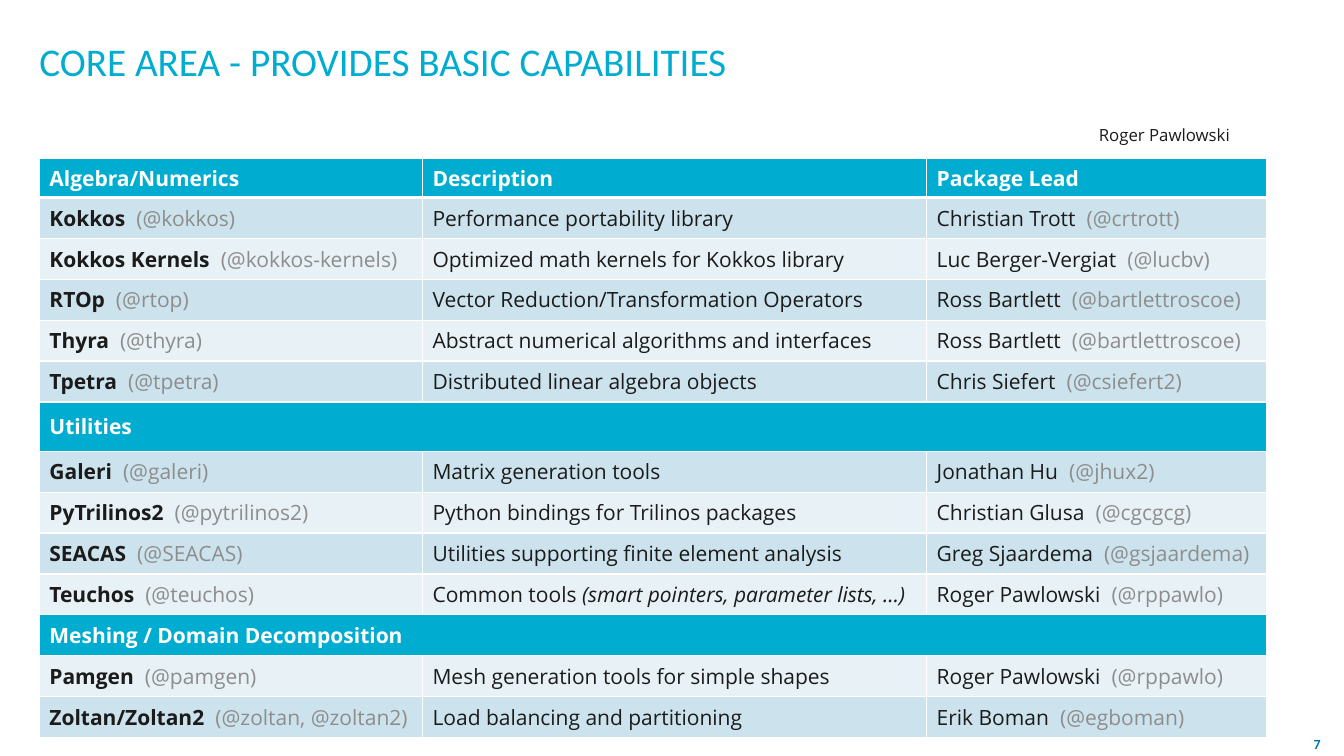
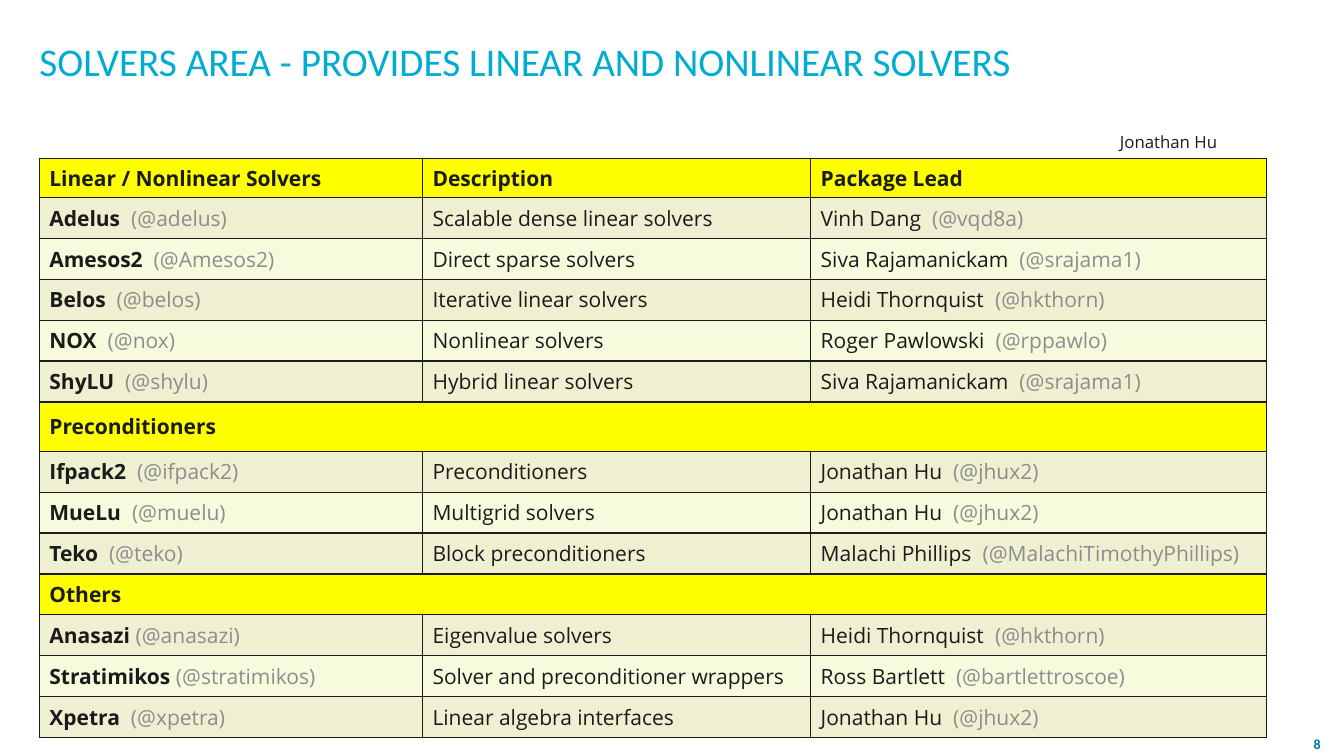
import pptx
import pptx.dml.color
import pptx.enum.text
import pptx.oxml
import pptx.oxml.ns
import pptx.util

Inches = pptx.util.Inches
Pt = pptx.util.Pt
RGBColor = pptx.dml.color.RGBColor
ALIGN = pptx.enum.text.PP_ALIGN
MIDDLE = pptx.enum.text.MSO_ANCHOR.MIDDLE

WHITE = RGBColor(0xFF, 0xFF, 0xFF)
INK = RGBColor(0x1B, 0x1B, 0x1B)
GREY = RGBColor(0x8D, 0x8D, 0x8D)
CYAN = RGBColor(0x00, 0xAC, 0xCF)
BLUE = RGBColor(0x00, 0x75, 0xA9)
BLUE_DARK = RGBColor(0xCC, 0xE3, 0xED)
BLUE_LIGHT = RGBColor(0xE7, 0xF1, 0xF6)
YELLOW = RGBColor(0xFF, 0xFF, 0x00)
CREAM_DARK = RGBColor(0xEF, 0xEF, 0xD1)
CREAM_LIGHT = RGBColor(0xF8, 0xFA, 0xDD)

HEADING_FONT = "Calibri"
BODY_FONT = "Open Sans"
TITLE_BOX = (0.39, 0.26, 11.18, 0.74)
NUMBER_BOX = (12.8, 7.26, 0.53, 0.24)
TABLE_BOX = (0.39, 1.57, 12.17, 5.75)
HEADER_HEIGHT = 0.39
TALL_HEIGHT = 0.49
TALL_ROW = 6

CORE = {
    "title": "CORE AREA - PROVIDES BASIC CAPABILITIES",
    "number": 7,
    "lead": "Roger Pawlowski",
    "lead_box": (10.8, 1.19, 1.52, 0.3),
    "cols": (3.8, 5, 3.37),
    "head_fill": CYAN,
    "head_color": WHITE,
    "bands": (BLUE_LIGHT, BLUE_DARK),
    "line": WHITE,
    "head_rule": 3,
    "rows": [
        ("Algebra/Numerics", "Description", "Package Lead"),
        ("Kokkos  (@kokkos)", "Performance portability library", "Christian Trott  (@crtrott)"),
        ("Kokkos Kernels  (@kokkos-kernels)", "Optimized math kernels for Kokkos library",
         "Luc Berger-Vergiat  (@lucbv)"),
        ("RTOp  (@rtop)", "Vector Reduction/Transformation Operators",
         "Ross Bartlett  (@bartlettroscoe)"),
        ("Thyra  (@thyra)", "Abstract numerical algorithms and interfaces",
         "Ross Bartlett  (@bartlettroscoe)"),
        ("Tpetra  (@tpetra)", "Distributed linear algebra objects",
         "Chris Siefert  (@csiefert2)"),
        ("Utilities",),
        ("Galeri  (@galeri)", "Matrix generation tools", "Jonathan Hu  (@jhux2)"),
        ("PyTrilinos2  (@pytrilinos2)", "Python bindings for Trilinos packages",
         "Christian Glusa  (@cgcgcg)"),
        ("SEACAS  (@SEACAS)", "Utilities supporting finite element analysis",
         "Greg Sjaardema  (@gsjaardema)"),
        ("Teuchos  (@teuchos)", "Common tools (smart pointers, parameter lists, …)",
         "Roger Pawlowski  (@rppawlo)"),
        ("Meshing / Domain Decomposition",),
        ("Pamgen  (@pamgen)", "Mesh generation tools for simple shapes",
         "Roger Pawlowski  (@rppawlo)"),
        ("Zoltan/Zoltan2  (@zoltan, @zoltan2)", "Load balancing and partitioning",
         "Erik Boman  (@egboman)"),
    ],
}

SOLVERS = {
    "title": "SOLVERS AREA - PROVIDES LINEAR AND NONLINEAR SOLVERS",
    "number": 8,
    "lead": "Jonathan Hu",
    "lead_box": (11.01, 1.26, 1.18, 0.3),
    "cols": (3.8, 3.85, 4.52),
    "head_fill": YELLOW,
    "head_color": INK,
    "bands": (CREAM_LIGHT, CREAM_DARK),
    "line": INK,
    "head_rule": 1,
    "rows": [
        ("Linear / Nonlinear Solvers", "Description", "Package Lead"),
        ("Adelus  (@adelus)", "Scalable dense linear solvers", "Vinh Dang  (@vqd8a)"),
        ("Amesos2  (@Amesos2)", "Direct sparse solvers", "Siva Rajamanickam  (@srajama1)"),
        ("Belos  (@belos)", "Iterative linear solvers", "Heidi Thornquist  (@hkthorn)"),
        ("NOX  (@nox)", "Nonlinear solvers", "Roger Pawlowski  (@rppawlo)"),
        ("ShyLU  (@shylu)", "Hybrid linear solvers", "Siva Rajamanickam  (@srajama1)"),
        ("Preconditioners",),
        ("Ifpack2  (@ifpack2)", "Preconditioners", "Jonathan Hu  (@jhux2)"),
        ("MueLu  (@muelu)", "Multigrid solvers", "Jonathan Hu  (@jhux2)"),
        ("Teko  (@teko)", "Block preconditioners",
         "Malachi Phillips  (@MalachiTimothyPhillips)"),
        ("Others",),
        ("Anasazi (@anasazi)", "Eigenvalue solvers", "Heidi Thornquist  (@hkthorn)"),
        ("Stratimikos (@stratimikos)", "Solver and preconditioner wrappers",
         "Ross Bartlett  (@bartlettroscoe)"),
        ("Xpetra  (@xpetra)", "Linear algebra interfaces", "Jonathan Hu  (@jhux2)"),
    ],
}


def style_run(r, font, size, color, bold=False, italic=False):
    r.font.name = font
    r.font.size = Pt(size)
    r.font.color.rgb = color
    r.font.bold = bold
    r.font.italic = italic


def add_text(slide, box, text, font, size, color, bold=False):
    sp = slide.shapes.add_textbox(*map(Inches, box))
    tf = sp.text_frame
    tf.text = text
    tf.vertical_anchor = MIDDLE
    style_run(tf.paragraphs[0].runs[0], font, size, color, bold)
    return tf


def add_title(slide, text):
    tf = add_text(slide, TITLE_BOX, text, HEADING_FONT, 28, CYAN)
    tf.word_wrap = True
    tf.margin_left = tf.margin_right = tf.margin_top = tf.margin_bottom = 0
    tf.paragraphs[0].line_spacing = 0.9


def add_number(slide, number):
    tf = add_text(slide, NUMBER_BOX, str(number), HEADING_FONT, 10, BLUE, True)
    tf.word_wrap = True
    tf.paragraphs[0].alignment = ALIGN.CENTER


def add_lead(slide, box, name):
    tf = add_text(slide, box, name, BODY_FONT, 12, INK)
    tf.word_wrap = False


def set_borders(cell, color, top, bottom):
    tcPr = cell._tc.get_or_add_tcPr()
    widths = {"lnL": 1, "lnR": 1, "lnT": top, "lnB": bottom}
    for i, (tag, width) in enumerate(widths.items()):
        ln = pptx.oxml.parse_xml(
            f'<a:{tag} {pptx.oxml.ns.nsdecls("a")} w="{Pt(width)}">'
            f'<a:solidFill><a:srgbClr val="{color}"/></a:solidFill></a:{tag}>')
        tcPr.insert(i, ln)


def fill_cell(cell, text, color, bold):
    name, bracket, rest = text.partition("(")
    p = cell.text_frame.paragraphs[0]
    p.text = name
    style_run(p.runs[0], BODY_FONT, 15, color, bold)
    if bracket:
        is_handle = rest.startswith("@")
        r = p.add_run()
        r.text = bracket + rest
        style_run(r, BODY_FONT, 15, GREY if is_handle else INK, italic=not is_handle)


def add_packages(slide, area, box):
    rows, cols = area["rows"], area["cols"]
    frame = slide.shapes.add_table(len(rows), len(cols), *map(Inches, box))
    table = frame.table
    table.first_row = table.horz_banding = False
    for column, width in zip(table.columns, cols):
        column.width = Inches(width)
    row_height = (box[3] - HEADER_HEIGHT - TALL_HEIGHT) / (len(rows) - 2)
    heights = {0: HEADER_HEIGHT, TALL_ROW: TALL_HEIGHT}
    for i, texts in enumerate(rows):
        table.rows[i].height = Inches(heights.get(i, row_height))
        is_section = len(texts) == 1
        is_head = i == 0 or is_section
        for j in range(len(cols)):
            cell = table.cell(i, j)
            cell.vertical_anchor = MIDDLE
            cell.fill.solid()
            cell.fill.fore_color.rgb = area["head_fill"] if is_head else area["bands"][i % 2]
            set_borders(cell, area["line"],
                        area["head_rule"] if i == 1 else 1,
                        area["head_rule"] if i == 0 else 1)
        if is_section:
            table.cell(i, 0).merge(table.cell(i, len(cols) - 1))
        for j, text in enumerate(texts):
            fill_cell(table.cell(i, j), text,
                      area["head_color"] if is_head else INK, is_head or j == 0)


def add_area_slide(prs, area):
    slide = prs.slides.add_slide(prs.slide_layouts[6])
    add_packages(slide, area, TABLE_BOX)
    add_number(slide, area["number"])
    add_title(slide, area["title"])
    add_lead(slide, area["lead_box"], area["lead"])


def main():
    prs = pptx.Presentation()
    prs.slide_width = Inches(13.33)
    prs.slide_height = Inches(7.5)
    for area in (CORE, SOLVERS):
        add_area_slide(prs, area)
    prs.save("out.pptx")


if __name__ == "__main__":
    main()
